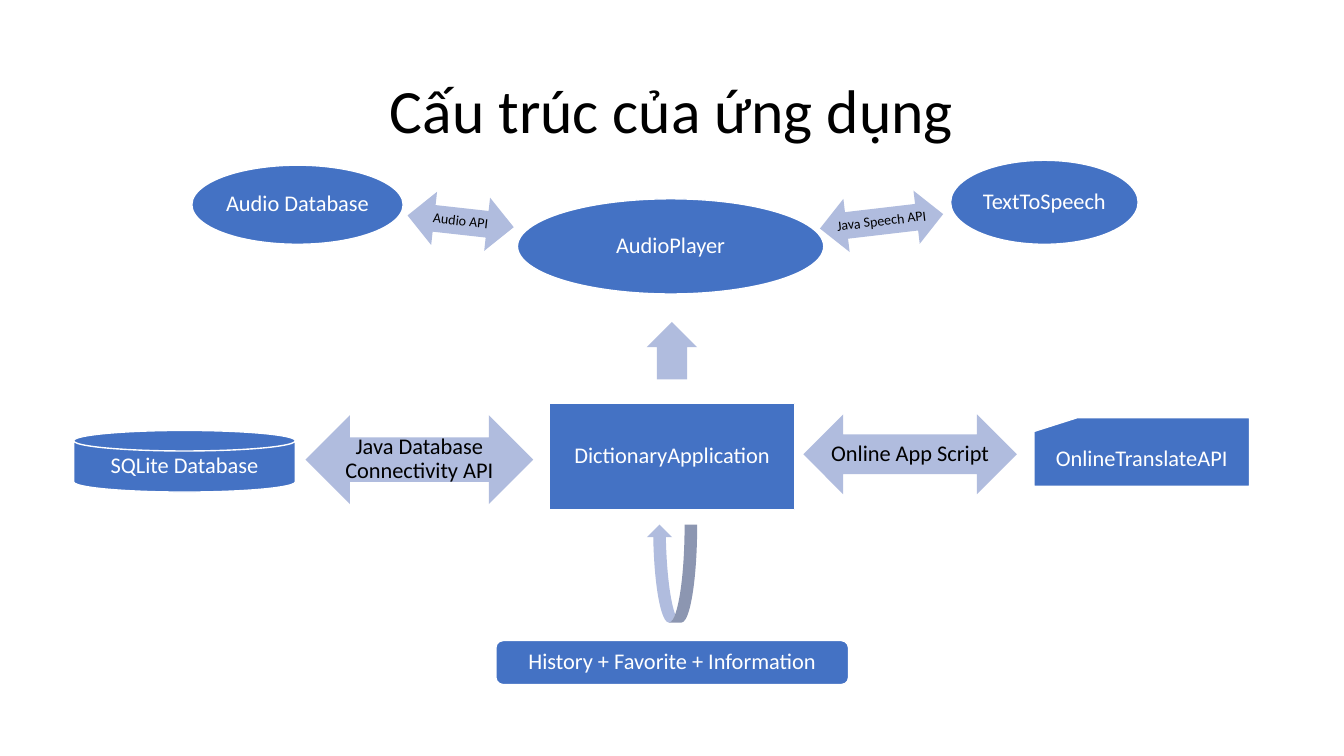
from pptx import Presentation
from pptx.dml.color import RGBColor
from pptx.enum.shapes import MSO_SHAPE
from pptx.enum.text import MSO_ANCHOR, PP_ALIGN
from pptx.util import Pt

BLUE = RGBColor(0x44, 0x72, 0xC4)
PALE_BLUE = RGBColor(0xB0, 0xBC, 0xDE)
WHITE = RGBColor(0xFF, 0xFF, 0xFF)
BLACK = RGBColor(0x00, 0x00, 0x00)


def write(box, text, size, color, inset):
    frame = box.text_frame
    frame.word_wrap = True
    frame.vertical_anchor = MSO_ANCHOR.MIDDLE
    frame.margin_left = frame.margin_right = Pt(inset)
    frame.margin_top = frame.margin_bottom = Pt(inset)
    para = frame.paragraphs[0]
    para.text = text
    para.alignment = PP_ALIGN.CENTER
    para.line_spacing = 0.9
    for span in para.runs:
        span.font.name = "Calibri"
        span.font.size = Pt(size)
        span.font.color.rgb = color


def add_block(kind, bounds, fill):
    block = page.shapes.add_shape(kind, *[Pt(value) for value in bounds])
    block.shadow.inherit = False
    block.fill.solid()
    block.fill.fore_color.rgb = fill
    return block


deck = Presentation()
deck.slide_width, deck.slide_height = Pt(960), Pt(540)
page = deck.slides.add_slide(deck.slide_layouts[6])

# Title
title = page.shapes.add_textbox(Pt(66), Pt(28.75), Pt(828), Pt(104.4))
write(title, "Cấu trúc của ứng dụng", 44, BLACK, 3.6)

# Components: shape, (left, top, width, height), label
components = [
    (MSO_SHAPE.FLOWCHART_PROCESS, (392.6, 288, 175, 76), "DictionaryApplication"),
    (MSO_SHAPE.OVAL, (369.6, 142, 218.8, 68), "AudioPlayer"),
    (MSO_SHAPE.OVAL, (137, 118, 151, 56.5), "Audio Database"),
    (MSO_SHAPE.OVAL, (679, 114.5, 134, 60), "TextToSpeech"),
    (MSO_SHAPE.FLOWCHART_MAGNETIC_DISK, (52.6, 307.5, 158.4, 44), "SQLite Database"),
    (MSO_SHAPE.FLOWCHART_CARD, (738.5, 298.4, 154, 49), "OnlineTranslateAPI"),
    (MSO_SHAPE.FLOWCHART_ALTERNATE_PROCESS, (354.2, 457.5, 252, 31.5),
     "History + Favorite + Information"),
]
for kind, bounds, label in components:
    component = add_block(kind, bounds, BLUE)
    component.line.color.rgb = WHITE
    component.line.width = Pt(1)
    write(component, label, 16, WHITE, 1.4)

# Labelled two-way arrows: bounds, rotation, label, text size
links = [
    ((218.2, 296.6, 162.7, 63.4), 0, "Java Database Connectivity API", 16),
    ((573.8, 296, 152.6, 57), 0, "Online App Script", 16),
    ((290.9, 139, 76.3, 38.2), 6.3, "Audio API", 10),
    ((585.4, 139, 88.6, 38.2), 353.3, "Java Speech API", 10),
]
for bounds, rotation, label, size in links:
    link = add_block(MSO_SHAPE.LEFT_RIGHT_ARROW, bounds, PALE_BLUE)
    link.line.fill.background()
    link.rotation = rotation
    write(link, label, size, BLACK, 0)

# Arrow up to the audio player
up_arrow = add_block(MSO_SHAPE.UP_ARROW, (462, 230, 36, 41), PALE_BLUE)
up_arrow.line.fill.background()
up_arrow.adjustments[0] = 0.6
up_arrow.adjustments[1] = 0.5

# Loop between the application and its stored data
loop_arrow = add_block(MSO_SHAPE.CURVED_LEFT_ARROW, (445, 391.7, 70, 36), PALE_BLUE)
loop_arrow.line.fill.background()
loop_arrow.rotation = 90

deck.save("out.pptx")
